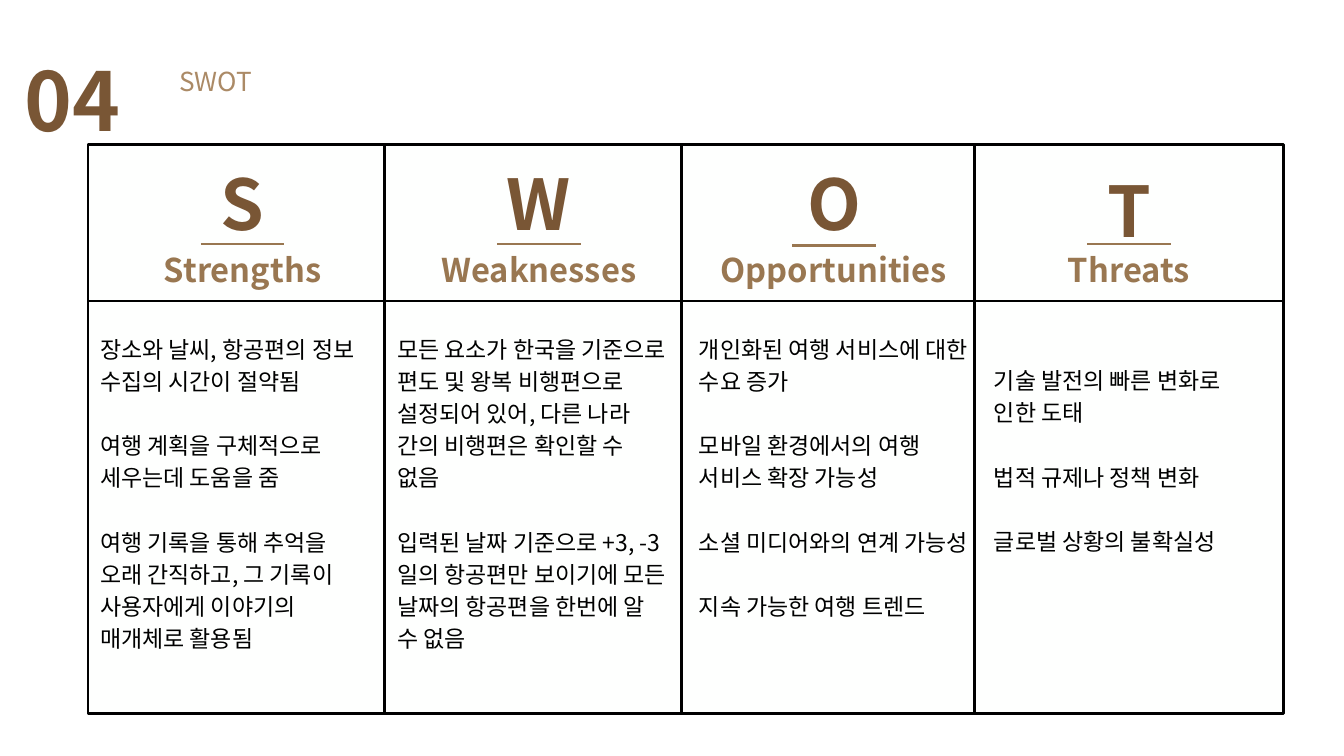
import pptx
import pptx.dml.color
import pptx.enum.shapes
import pptx.enum.text
import pptx.oxml
import pptx.oxml.ns
import pptx.util
from pptx.util import Inches

COLORS = {
    "dark": "795635",
    "medium": "997751",
    "light": "AB8A66",
    "ink": "000000",
    "card": "FEFFFE",
}
CARD_WIDTH = 4.6
LETTER_WIDTH = 1.47
NAME_WIDTH = 3.52
RULE_WIDTH = 1.24
BODY_SPACING = 34.5

COLUMNS = [
    {"card": 1.31, "center": 3.61, "letter": "S", "letter_top": 2.18, "name": "Strengths",
     "rule_top": 3.63, "body": (1.49, 4.92, 5.14),
     "points": ["장소와 날씨, 항공편의 정보 수집의 시간이 절약됨",
                "여행 계획을 구체적으로 세우는데 도움을 줌",
                "여행 기록을 통해 추억을 오래 간직하고, 그 기록이 사용자에게 이야기의 매개체로 활용됨"]},
    {"card": 5.72, "center": 8.02, "letter": "W", "letter_top": 2.18, "name": "Weaknesses",
     "rule_top": 3.63, "body": (5.91, 4.92, 4.67),
     "points": ["모든 요소가 한국을 기준으로 편도 및 왕복 비행편으로 설정되어 있어, 다른 나라 간의 비행편은 확인할 수 없음",
                "입력된 날짜 기준으로 +3, -3일의 항공편만 보이기에 모든 날짜의 항공편을 한번에 알 수 없음"]},
    {"card": 10.14, "center": 12.41, "letter": "O", "letter_top": 2.18, "name": "Opportunities",
     "rule_top": 3.65, "body": (10.4, 4.92, 4.67),
     "points": ["개인화된 여행 서비스에 대한 수요 증가",
                "모바일 환경에서의 여행 서비스 확장 가능성",
                "소셜 미디어와의 연계 가능성",
                "지속 가능한 여행 트렌드"]},
    {"card": 14.5, "center": 16.8, "letter": "T", "letter_top": 2.29, "name": "Threats",
     "rule_top": 3.63, "body": (14.79, 5.39, 4.2),
     "points": ["기술 발전의 빠른 변화로 인한 도태",
                "법적 규제나 정책 변화",
                "글로벌 상황의 불확실성"]},
]


class SwotPage:
    """Holds the style and the current slide, and draws each kind of element."""

    def __init__(self, page, font="Noto Sans CJK KR"):
        self.page = page
        self.font = font

    def color(self, name):
        return pptx.dml.color.RGBColor.from_string(COLORS[name])

    def text(self, left, top, width, height, lines, size, color, spacing,
             bold=False, centered=False, gap=0):
        box = self.page.shapes.add_textbox(Inches(left), Inches(top), Inches(width), Inches(height))
        frame = box.text_frame
        frame.word_wrap = True
        frame.margin_left = frame.margin_right = frame.margin_top = frame.margin_bottom = 0
        for index, line in enumerate(lines):
            para = frame.add_paragraph() if index else frame.paragraphs[0]
            para.text = line
            para.line_spacing = pptx.util.Pt(spacing)
            if index:
                para.space_before = pptx.util.Pt(gap)
            if centered:
                para.alignment = pptx.enum.text.PP_ALIGN.CENTER
            font = para.font
            font.size = pptx.util.Pt(size)
            font.bold = bold
            font.color.rgb = self.color(color)
            font.name = self.font
            latin = para._p.find(".//" + pptx.oxml.ns.qn("a:latin"))
            east_asian = pptx.oxml.parse_xml(f'<a:ea {pptx.oxml.ns.nsdecls("a")} typeface="{self.font}"/>')
            latin.addnext(east_asian)

    def card(self, left, top, height):
        card = self.page.shapes.add_shape(
            pptx.enum.shapes.MSO_SHAPE.RECTANGLE,
            Inches(left), Inches(top), Inches(CARD_WIDTH), Inches(height))
        card.shadow.inherit = False
        card.fill.solid()
        card.fill.fore_color.rgb = self.color("card")
        card.line.color.rgb = self.color("ink")
        card.line.width = pptx.util.Pt(3)

    def rule(self, left, top):
        rule = self.page.shapes.add_connector(
            pptx.enum.shapes.MSO_CONNECTOR.STRAIGHT,
            Inches(left), Inches(top), Inches(left + RULE_WIDTH), Inches(top))
        rule.line.color.rgb = self.color("medium")
        rule.line.width = pptx.util.Pt(3)
        effects = pptx.oxml.parse_xml(f'<a:effectLst {pptx.oxml.ns.nsdecls("a")}/>')
        rule._element.spPr.append(effects)


def main():
    deck = pptx.Presentation()
    deck.slide_width, deck.slide_height = Inches(20), Inches(11.25)
    swot = SwotPage(deck.slides.add_slide(deck.slide_layouts[6]))

    swot.text(0.37, 0.51, 1.51, 1.64, ["04"], 87, "dark", 121.9, bold=True)
    swot.text(2.29, 0.89, 1.83, 0.54, ["SWOT"], 28, "light", 39.3, centered=True)

    for column in COLUMNS:
        swot.card(column["card"], 4.29, 6.33)
        swot.card(column["card"], 2.15, 2.33)

    for column in COLUMNS:
        center = column["center"]
        swot.text(center - LETTER_WIDTH / 2, column["letter_top"], LETTER_WIDTH, 1.43,
                  [column["letter"]], 75, "dark", 105, bold=True, centered=True)
        swot.text(center - NAME_WIDTH / 2, 3.62, NAME_WIDTH, 0.67,
                  [column["name"]], 35, "medium", 49, bold=True, centered=True)
        swot.rule(center - RULE_WIDTH / 2, column["rule_top"])
        left, top, height = column["body"]
        swot.text(left, top, 4.02, height, column["points"], 24.6, "ink",
                  BODY_SPACING, gap=BODY_SPACING)

    deck.save("out.pptx")


if __name__ == "__main__":
    main()
